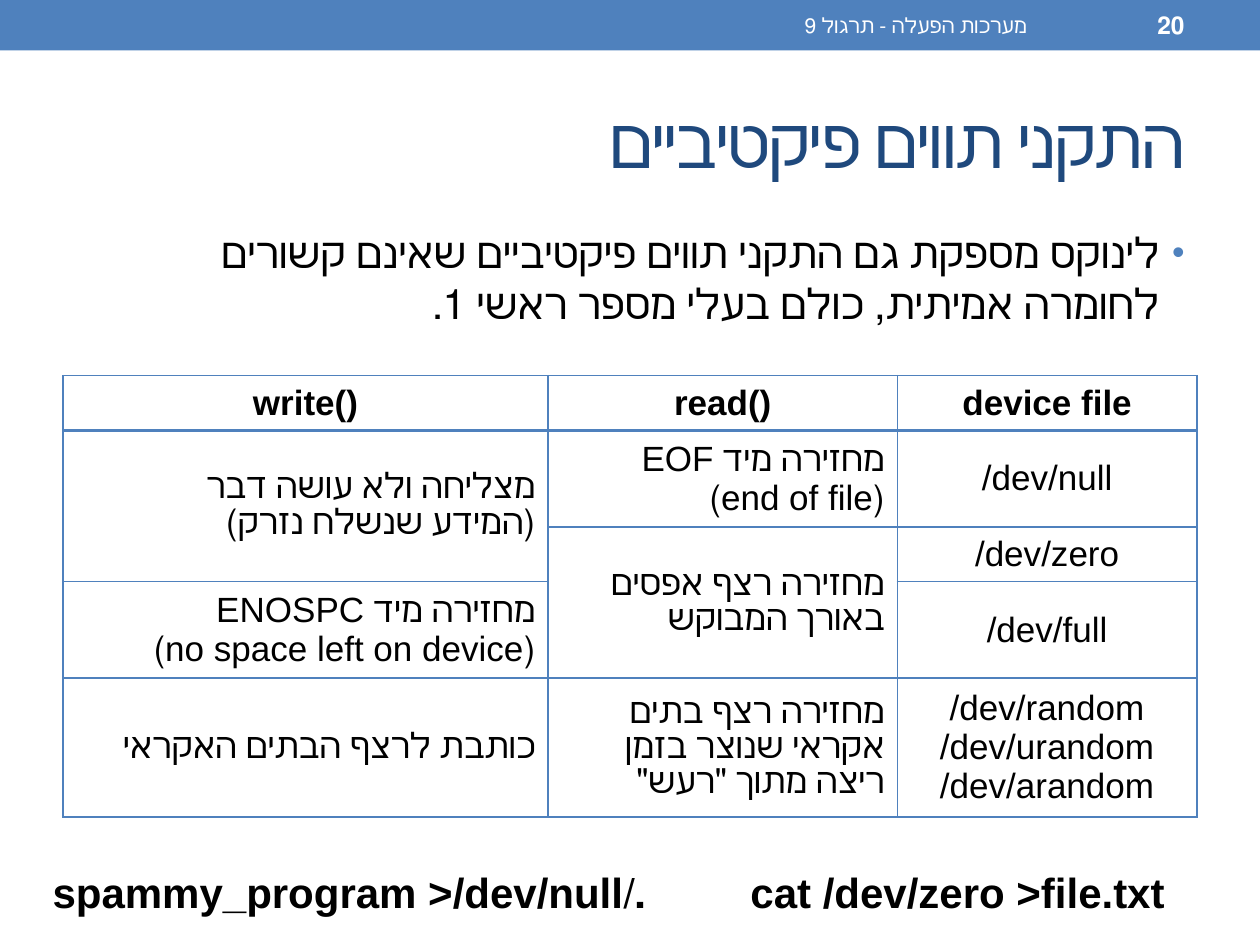
from pptx import Presentation
from pptx.dml.color import RGBColor
from pptx.enum.shapes import MSO_SHAPE
from pptx.enum.text import MSO_ANCHOR, PP_ALIGN
from pptx.oxml import parse_xml
from pptx.oxml.ns import nsdecls
from pptx.util import Cm, Pt

COLOURS = {"blue": "4F81BD", "navy": "1F497D", "black": "000000", "white": "FFFFFF"}


class SlideBuilder:
    """Holds the style and the current slide, and adds each kind of element."""

    def __init__(self, deck, font="Arial"):
        self.font = font
        self.slide = deck.slides.add_slide(deck.slide_layouts[6])

    def colour(self, name):
        return RGBColor.from_string(COLOURS[name])

    def fill_text(self, frame, text, size, colour="black", bold=False,
                  align=PP_ALIGN.RIGHT, rtl=True, spacing=None):
        for index, line in enumerate(text.split("\n")):
            para = frame.paragraphs[0] if index == 0 else frame.add_paragraph()
            para.alignment = align
            if rtl:
                para._p.get_or_add_pPr().set("rtl", "1")
            span = para.add_run()
            span.text = line
            for key, value in {"name": self.font, "size": Pt(size), "bold": bold}.items():
                setattr(span.font, key, value)
            span.font.color.rgb = self.colour(colour)
            if spacing:
                span._r.get_or_add_rPr().set("spc", str(spacing))

    def band(self, left, top, width, height):
        shape = self.slide.shapes.add_shape(
            MSO_SHAPE.RECTANGLE, Cm(left), Cm(top), Cm(width), Cm(height))
        shape.shadow.inherit = False
        shape.fill.solid()
        shape.fill.fore_color.rgb = self.colour("blue")
        shape.line.fill.background()

    def text(self, place, text, size, anchor=MSO_ANCHOR.MIDDLE, **style):
        box = self.slide.shapes.add_textbox(*map(Cm, place))
        frame = box.text_frame
        for key, value in {"word_wrap": True, "vertical_anchor": anchor}.items():
            setattr(frame, key, value)
        self.fill_text(frame, text, size, **style)
        return box

    def bullet(self, place, text, size):
        box = self.text(place, text, size, anchor=MSO_ANCHOR.TOP)
        para = box.text_frame.paragraphs[0]
        para.space_before = Pt(size * 0.2)
        properties = para._p.get_or_add_pPr()
        indent = Cm(0.51)
        properties.set("marL", str(indent))
        properties.set("indent", str(-indent))
        for xml in (f'<a:buClr {nsdecls("a")}><a:srgbClr val="{COLOURS["blue"]}"/></a:buClr>',
                    f'<a:buSzPct {nsdecls("a")} val="85000"/>',
                    f'<a:buFont {nsdecls("a")} typeface="{self.font}"/>',
                    f'<a:buChar {nsdecls("a")} char="•"/>'):
            properties.append(parse_xml(xml))

    def border(self, cell, widths):
        properties = cell._tc.get_or_add_tcPr()
        for side, width in zip("LRTB", widths):
            properties.append(parse_xml(
                f'<a:ln{side} {nsdecls("a")} w="{Pt(width)}"><a:solidFill>'
                f'<a:srgbClr val="{COLOURS["blue"]}"/></a:solidFill></a:ln{side}>'))

    def table(self, left, top, columns, heights, rows, merges, size):
        table = self.slide.shapes.add_table(
            len(rows), len(columns), Cm(left), Cm(top),
            Cm(sum(columns)), Cm(sum(heights))).table
        for key, value in {"first_row": False, "horz_banding": False}.items():
            setattr(table, key, value)
        for column, width in zip(table.columns, columns):
            column.width = Cm(width)
        for row, height in zip(table.rows, heights):
            row.height = Cm(height)
        for first, last in merges:
            table.cell(*first).merge(table.cell(*last))
        for r, row in enumerate(rows):
            for c, text in enumerate(row):
                cell = table.cell(r, c)
                cell.vertical_anchor = MSO_ANCHOR.MIDDLE
                self.border(cell, (1, 1, 2 if r == 1 else 1, 2 if r == 0 else 1))
                cell.fill.background()
                if text:
                    centred = r == 0 or c == len(columns) - 1
                    self.fill_text(cell.text_frame, text, size, bold=r == 0, rtl=not centred,
                                   align=PP_ALIGN.CENTER if centred else PP_ALIGN.RIGHT)


DEVICE_ROWS = [
    ("write()", "read()", "device file"),
    ("מצליחה ולא עושה דבר\n(המידע שנשלח נזרק)", "מחזירה מיד EOF\n(end of file)", "/dev/null"),
    (None, "מחזירה רצף אפסים באורך המבוקש", "/dev/zero"),
    ("מחזירה מיד ENOSPC\n(no space left on device)", None, "/dev/full"),
    ("כותבת לרצף הבתים האקראי", "מחזירה רצף בתים אקראי שנוצר בזמן ריצה מתוך \"רעש\"",
     "/dev/random\n/dev/urandom\n/dev/arandom"),
]
COMMANDS = {0.81: "./spammy_program >/dev/null", 14.88: "cat /dev/zero >file.txt"}


def main():
    deck = Presentation()
    deck.slide_width, deck.slide_height = Cm(25.4), Cm(19.05)
    page = SlideBuilder(deck)
    page.band(0, 0, 25.4, 1.02)
    page.text((1.27, 1.47, 22.86, 2.74), "התקני תווים פיקטיביים", 40,
              colour="navy", spacing=-100)
    page.bullet((1.27, 4.45, 22.86, 13.54),
                "לינוקס מספקת גם התקני תווים פיקטיביים שאינם קשורים "
                "לחומרה אמיתית, כולם בעלי מספר ראשי 1.", 24)
    page.text((9.53, 0.05, 11.43, 0.91), "מערכות הפעלה - תרגול 9", 12, colour="white")
    page.text((21.16, 0.05, 2.97, 0.91), "20", 14, colour="white", bold=True)
    page.table(1.27, 7.57, (9.78, 7.04, 6.04), (1.04, 1.83, 1.04, 1.83, 2.6),
               DEVICE_ROWS, [((1, 0), (2, 0)), ((2, 1), (3, 1))], 20)
    for left, command in COMMANDS.items():
        page.text((left, 17.35, 14.43, 1.27), command, 24, anchor=MSO_ANCHOR.TOP,
                  bold=True, align=PP_ALIGN.LEFT)
    deck.save("out.pptx")


if __name__ == "__main__":
    main()
